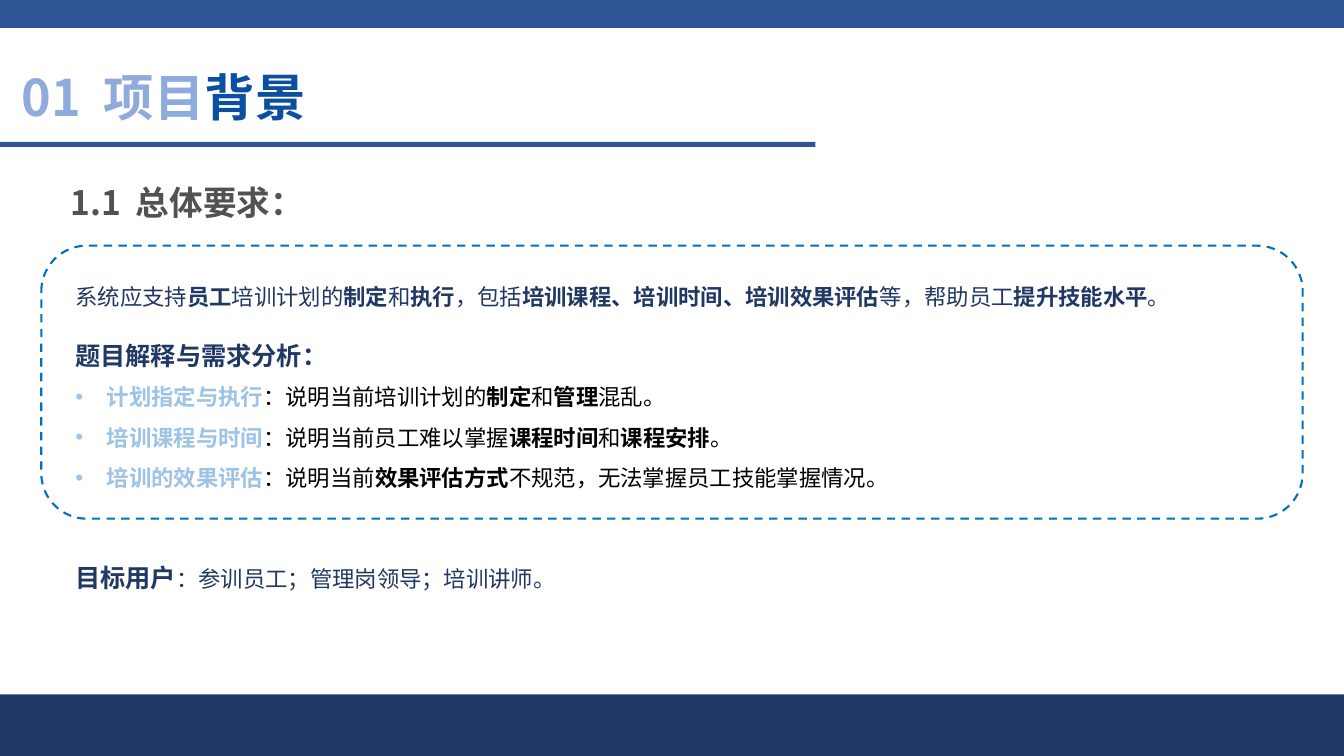
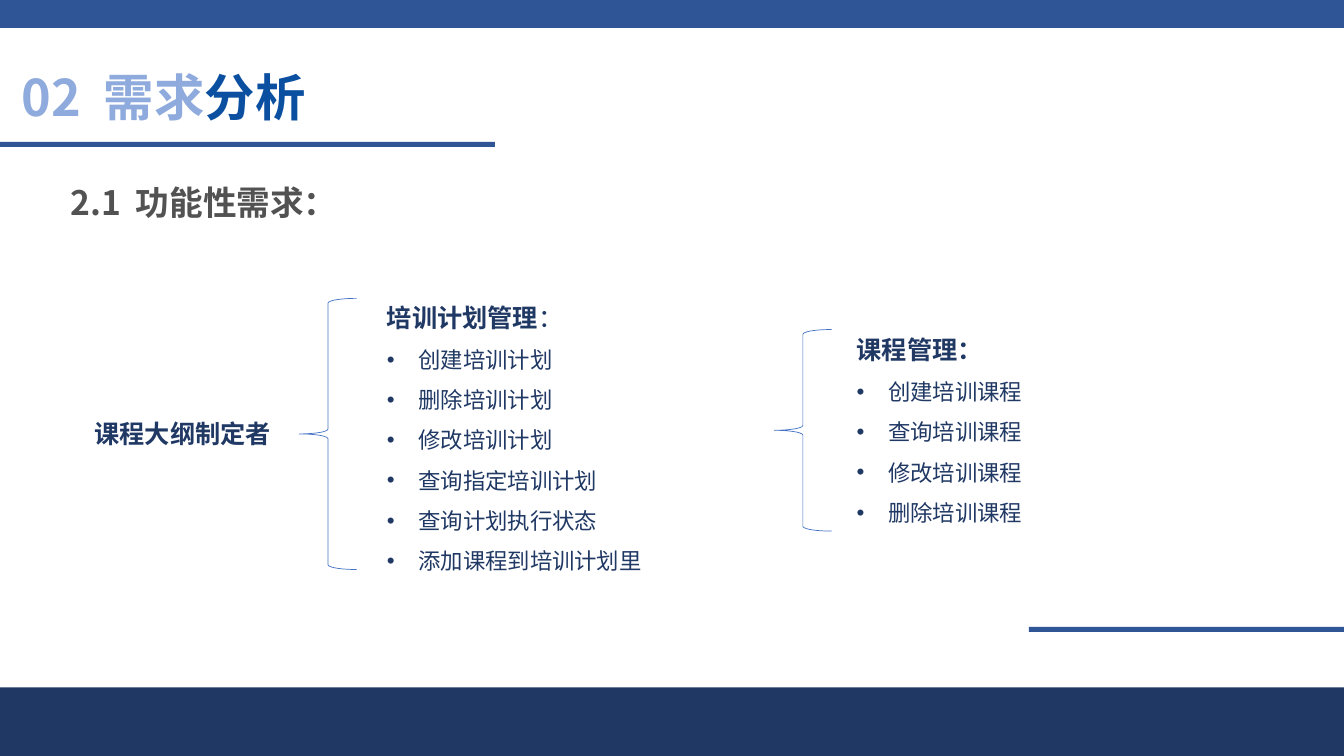
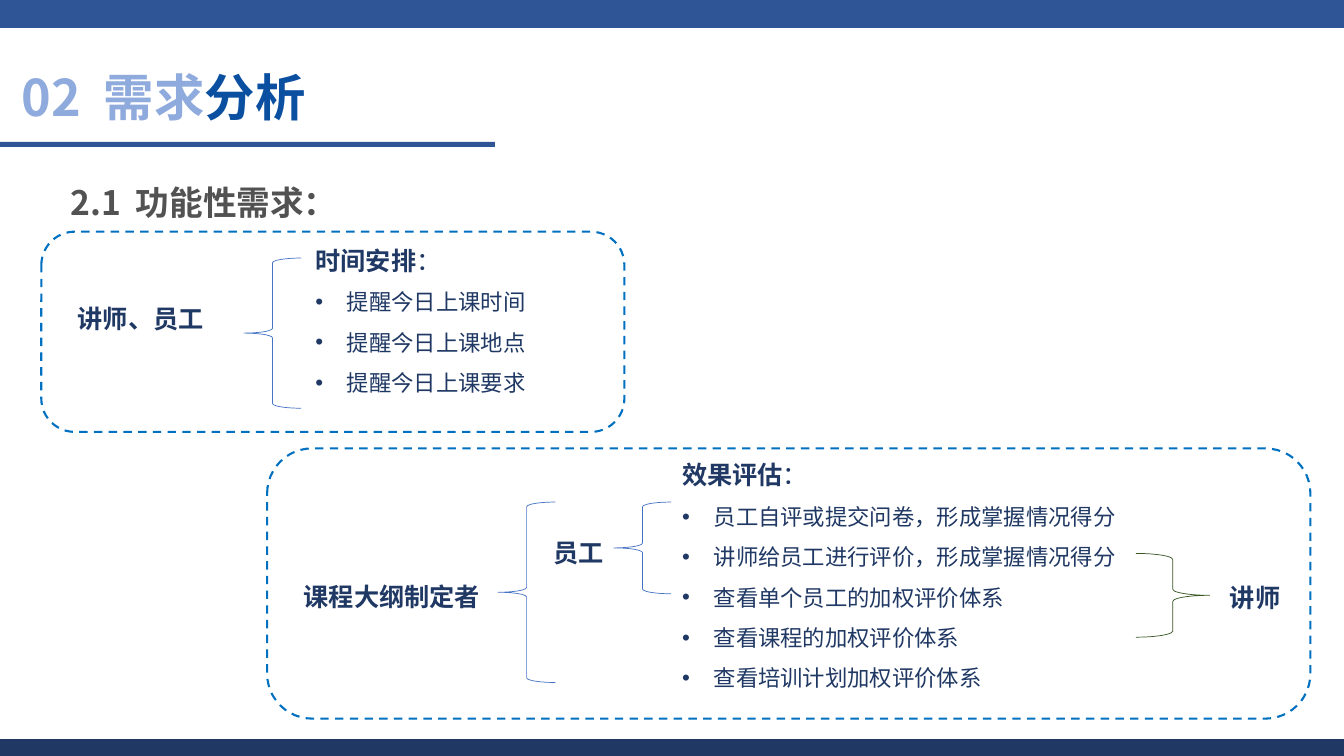
from lxml.etree import SubElement
from pptx import Presentation
from pptx.dml.color import RGBColor
from pptx.enum.dml import MSO_LINE
from pptx.enum.shapes import MSO_SHAPE as SHAPE
from pptx.enum.text import PP_ALIGN as ALIGN
from pptx.oxml.ns import qn
from pptx.util import Pt

FONT = "Noto Sans CJK SC"
BLUE, NAVY, BRACE_BLUE, FRAME_BLUE = "2F5597", "203864", "4472C4", "0070C0"
TITLE_LIGHT, TITLE_DARK, GREY = "8FAADC", "0B4FA1", "525252"
LABEL_BLUE, BLACK, GREEN = "9DC3E6", "000000", "385723"
W, H = 960, 540

hex_color = RGBColor.from_string


def add_shape(s, kind, x, y, w, h, fill=None, line=None, weight=0.5, dash=None, rotation=0):
    sp = s.shapes.add_shape(kind, Pt(x), Pt(y), Pt(w), Pt(h))
    sp.shadow.inherit = False
    sp.rotation = rotation
    if fill:
        sp.fill.solid()
        sp.fill.fore_color.rgb = hex_color(fill)
    else:
        sp.fill.background()
    if line:
        sp.line.color.rgb = hex_color(line)
        sp.line.width = Pt(weight)
        sp.line.dash_style = dash
    else:
        sp.line.fill.background()


def add_text(target, text, at=None, size=16, color=NAVY, bold=False, spacing=1.5,
             align=None, bullet=False, tab=None, join=False):
    tf = target
    if at:
        tf = target.shapes.add_textbox(*[Pt(v) for v in at]).text_frame
        tf.word_wrap = True
    p = tf.paragraphs[-1] if at or join else tf.add_paragraph()
    if not join:
        p.line_spacing = spacing
        p.alignment = align
        pPr = p._p.get_or_add_pPr()
        if bullet:
            pPr.set("marL", str(Pt(22.5)))
            pPr.set("indent", str(Pt(-22.5)))
            SubElement(pPr, qn("a:buFont"), typeface="Arial")
            SubElement(pPr, qn("a:buChar"), char="•")
        if tab:
            tabs = SubElement(pPr, qn("a:tabLst"))
            SubElement(tabs, qn("a:tab"), pos=str(Pt(tab)), algn="l")
    for i, part in enumerate(text.split("*")):
        if part:
            r = p.add_run()
            r.text = part
            r.font.size = Pt(size)
            r.font.bold = bold != (i % 2 == 1)
            r.font.color.rgb = hex_color(color)
            r.font.name = FONT
            SubElement(r._r.get_or_add_rPr(), qn("a:ea"), typeface=FONT)
    return tf


prs = Presentation()
prs.slide_width, prs.slide_height = Pt(W), Pt(H)

pages = [
    ("01\t项目", "背景", "1.1\t总体要求：", 582.5, 496),
    ("02\t需求", "分析", "2.1\t功能性需求：", 353.5, 491),
    ("02\t需求", "分析", "2.1\t功能性需求：", 353.5, 528),
]
slides = []
for light, dark, heading, rule_width, footer_top in pages:
    s = prs.slides.add_slide(prs.slide_layouts[6])
    add_shape(s, SHAPE.RECTANGLE, 0, 0, W, 20, fill=BLUE)
    add_shape(s, SHAPE.RECTANGLE, 0, footer_top, W, H - footer_top, fill=NAVY)
    tf = add_text(s, light, at=(8.6, 44, 630, 51), size=36, color=TITLE_LIGHT,
                  bold=True, spacing=1, tab=58.6)
    add_text(tf, dark, size=36, color=TITLE_DARK, bold=True, join=True)
    add_shape(s, SHAPE.RECTANGLE, 0, 101.3, rule_width, 3.6, fill=BLUE)
    add_text(s, heading, at=(43.2, 112.3, 867, 47), size=24, color=GREY, bold=True, tab=46.8)
    slides.append(s)
background, planning, evaluation = slides

frames = [
    (background, 29.5, 175.5, 901, 195),
    (evaluation, 29.5, 165.5, 416.5, 143),
    (evaluation, 190.8, 320.3, 745.2, 193),
]
for s, x, y, w, h in frames:
    add_shape(s, SHAPE.ROUNDED_RECTANGLE, x, y, w, h, line=FRAME_BLUE, weight=1.5,
              dash=MSO_LINE.DASH)

tf = add_text(
    background,
    "系统应支持*员工*培训计划的*制定*和*执行*，包括*培训课程、培训时间、培训效果评估*等，帮助员工*提升技能水平*。",
    at=(46.8, 179.3, 867, 174), spacing=2)
add_text(tf, "题目解释与需求分析：", size=18, bold=True, spacing=2)
problems = [
    ("计划指定与执行", "：说明当前培训计划的*制定*和*管理*混乱。"),
    ("培训课程与时间", "：说明当前员工难以掌握*课程时间*和*课程安排*。"),
    ("培训的效果评估", "：说明当前*效果评估方式*不规范，无法掌握员工技能掌握情况。"),
]
for label, detail in problems:
    add_text(tf, label, color=LABEL_BLUE, bold=True, bullet=True)
    add_text(tf, detail, color=BLACK, join=True)

tf = add_text(background, "目标用户", at=(46.8, 387.4, 867, 37), size=18, bold=True)
add_text(tf, "：参训员工；管理岗领导；培训讲师。", join=True)

features = [
    (planning, (269.3, 201.6, 209.5, 212), "*培训计划管理*：",
     ["创建培训计划", "删除培训计划", "修改培训计划", "查询指定培训计划",
      "查询计划执行状态", "添加课程到培训计划里"]),
    (planning, (604.8, 224.6, 142, 153), "*课程管理：*",
     ["创建培训课程", "查询培训课程", "修改培训课程", "删除培训课程"]),
    (evaluation, (218.2, 160.6, 173.5, 125), "*时间安排*：",
     ["提醒今日上课时间", "提醒今日上课地点", "提醒今日上课要求"]),
    (evaluation, (480.2, 313.9, 342, 182), "*效果评估*：",
     ["员工自评或提交问卷，形成掌握情况得分", "讲师给员工进行评价，形成掌握情况得分",
      "查看单个员工的加权评价体系", "查看课程的加权评价体系", "查看培训计划加权评价体系"]),
]
for s, at, name, items in features:
    tf = add_text(s, name, at=at, size=18)
    for item in items:
        add_text(tf, item, bullet=True)

braces = [
    (planning, 213.8, 213.1, 193.7),
    (planning, 553, 235.4, 144),
    (evaluation, 174.2, 184.3, 107.3),
    (evaluation, 355.7, 358.6, 128.9),
    (evaluation, 438.5, 358.6, 65.5),
]
for s, x, y, h in braces:
    add_shape(s, SHAPE.LEFT_BRACE, x, y, 41, h, line=BRACE_BLUE)
add_shape(evaluation, SHAPE.LEFT_BRACE, 811.4, 395.3, 52.6, 59.8, line=GREEN, rotation=180)

roles = [
    (planning, "课程大纲制定者", 60.5, 284.4, 144, ALIGN.LEFT),
    (evaluation, "讲师、员工", 8.6, 202.3, 144, ALIGN.RIGHT),
    (evaluation, "员工", 373, 369.4, 65.5, ALIGN.RIGHT),
    (evaluation, "讲师", 856, 401.8, 65.5, ALIGN.RIGHT),
    (evaluation, "课程大纲制定者", 206, 401, 144, ALIGN.RIGHT),
]
for s, role, x, y, w, align in roles:
    add_text(s, role, at=(x, y, w, 37), size=18, bold=True, align=align)

add_shape(planning, SHAPE.RECTANGLE, 735, 447.8, W - 735, 3.6, fill=BLUE)

prs.save("out.pptx")
